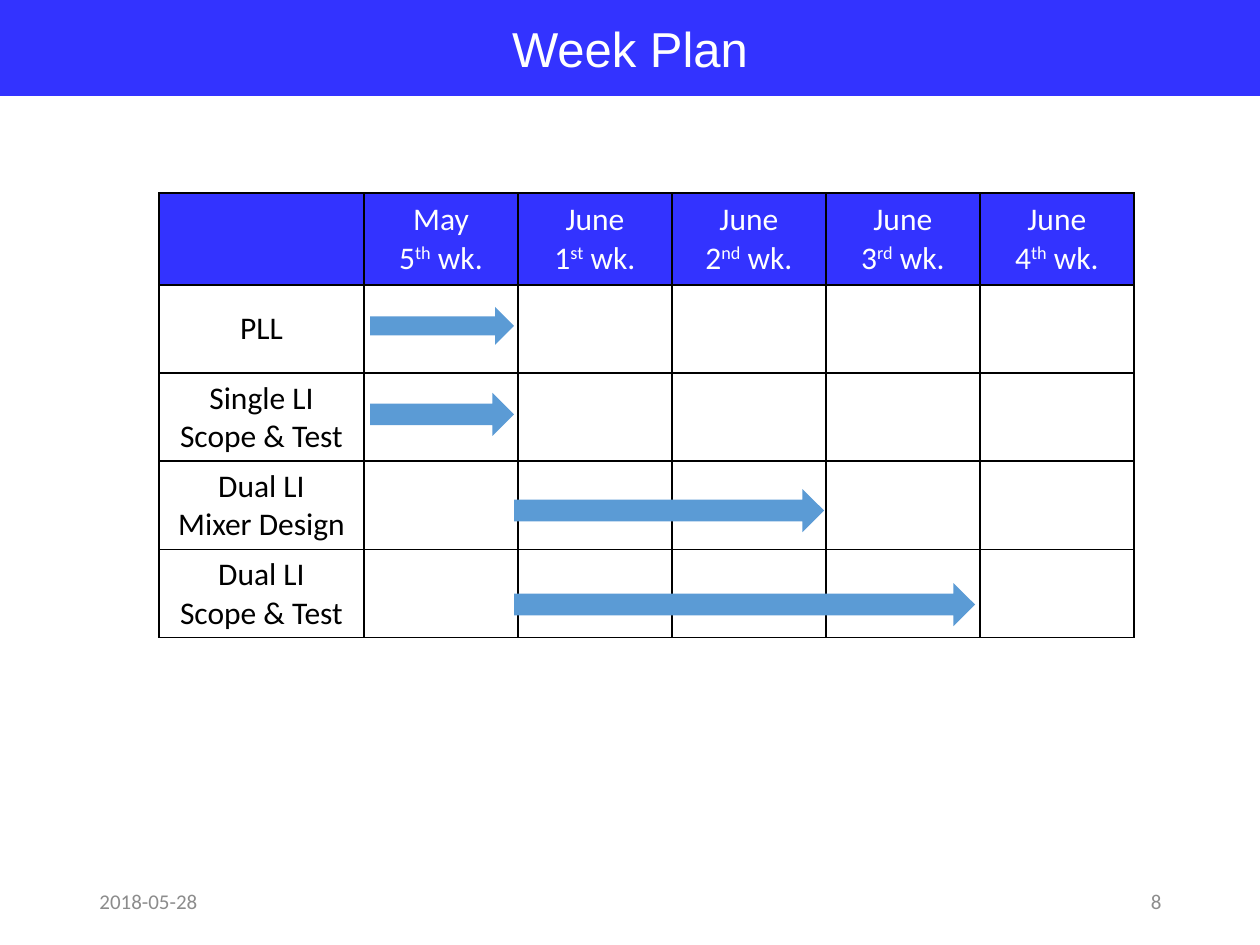
"""Build the week plan slide: a schedule table with arrows for each task."""
from dataclasses import dataclass

from lxml import etree
from pptx import Presentation, util as u
from pptx.dml.color import RGBColor
from pptx.enum import shapes, text
from pptx.oxml.ns import qn

PX = u.Inches(1) / 126
WEEKS = ["May\n5^th^ wk.", "June\n1^st^ wk.", "June\n2^nd^ wk.",
         "June\n3^rd^ wk.", "June\n4^th^ wk."]
TASKS = ["PLL", "Single LI\nScope & Test", "Dual LI\nMixer Design", "Dual LI\nScope & Test"]
SPANS = [(370, 307, 144, 38), (370, 393, 144, 43),
         (514, 489, 310, 43), (514, 583, 461, 43)]


@dataclass(frozen=True)
class Theme:
    band: str = "3333FF"
    arrow: str = "5B9BD5"
    light: str = "FFFFFF"
    ink: str = "000000"
    muted: str = "8C8C8C"
    heading_font: str = "Arial"
    body_font: str = "Calibri"
    heading_size: int = 28
    table_size: int = 18
    footer_size: int = 12


THEME = Theme()


def px(*lengths):
    return [u.Emu(round(length * PX)) for length in lengths]


def paint(owner, color):
    owner.fill.solid()
    owner.fill.fore_color.rgb = RGBColor.from_string(color)


def write(frame, wording, *, size, color, font=THEME.body_font, align=text.PP_ALIGN.CENTER):
    """Write one paragraph per line, raising the parts set between carets."""
    frame.word_wrap = True
    for index, line in enumerate(wording.split("\n")):
        paragraph = frame.add_paragraph() if index else frame.paragraphs[0]
        paragraph.alignment = align
        for position, part in enumerate(line.split("^")):
            run = paragraph.add_run()
            run.text = part
            run.font.size = u.Pt(size)
            run.font.name = font
            run.font.color.rgb = RGBColor.from_string(color)
            if position % 2:
                run.font._element.set("baseline", "30000")


def add_title(slide, wording):
    title = slide.shapes.title
    title.left, title.top, title.width, title.height = px(0, 0, 1260, 96)
    paint(title, THEME.band)
    title.text_frame.vertical_anchor = text.MSO_ANCHOR.MIDDLE
    write(title.text_frame, wording, size=THEME.heading_size, color=THEME.light,
          font=THEME.heading_font)


def add_footer(slide, wording, left, align):
    frame = slide.shapes.add_textbox(*px(left, 876, 284, 50)).text_frame
    frame.vertical_anchor = text.MSO_ANCHOR.MIDDLE
    write(frame, wording, size=THEME.footer_size, color=THEME.muted, align=align)


def outline(cell):
    properties = cell._tc.get_or_add_tcPr()
    for side in ("a:lnL", "a:lnR", "a:lnT", "a:lnB"):
        edge = etree.SubElement(properties, qn(side), w=str(u.Pt(1)))
        fill = etree.SubElement(edge, qn("a:solidFill"))
        etree.SubElement(fill, qn("a:srgbClr"), val=THEME.ink)


def add_schedule(slide):
    rows = [["", *WEEKS]] + [[task] + [""] * len(WEEKS) for task in TASKS]
    widths = [205] + [154] * len(WEEKS)
    heights = [92] + [88] * len(TASKS)
    schedule = slide.shapes.add_table(
        len(rows), len(widths), *px(159, 193, sum(widths), sum(heights))).table
    schedule.first_row = schedule.horz_banding = False
    for column, width in zip(schedule.columns, px(*widths)):
        column.width = width
    for row, height in zip(schedule.rows, px(*heights)):
        row.height = height
    for r, wordings in enumerate(rows):
        for c, wording in enumerate(wordings):
            cell = schedule.cell(r, c)
            cell.vertical_anchor = text.MSO_ANCHOR.MIDDLE
            outline(cell)
            if r == 0:
                paint(cell, THEME.band)
            else:
                cell.fill.background()
            if wording:
                write(cell.text_frame, wording, size=THEME.table_size,
                      color=THEME.ink if r else THEME.light)


def add_arrow(slide, span):
    arrow = slide.shapes.add_shape(shapes.MSO_SHAPE.RIGHT_ARROW, *px(*span))
    arrow.shadow.inherit = False
    paint(arrow, THEME.arrow)
    arrow.line.fill.background()


def main():
    deck = Presentation()
    deck.slide_width, deck.slide_height = px(1260, 945)
    slide = deck.slides.add_slide(deck.slide_layouts[5])
    add_title(slide, "Week Plan")
    add_footer(slide, "2018-05-28", 87, text.PP_ALIGN.LEFT)
    add_footer(slide, "8", 890, text.PP_ALIGN.RIGHT)
    add_schedule(slide)
    for span in SPANS:
        add_arrow(slide, span)
    deck.save("out.pptx")


if __name__ == "__main__":
    main()
